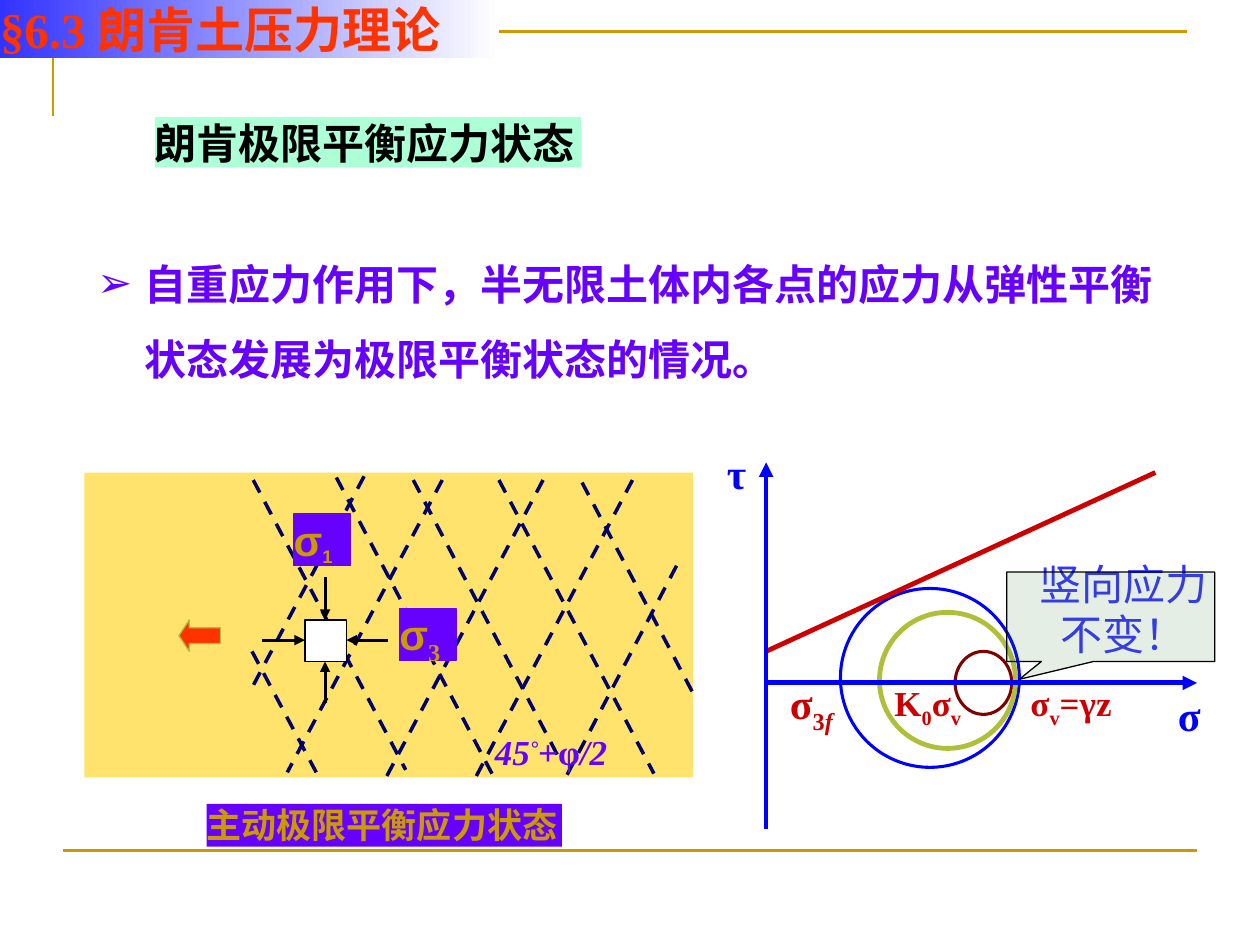
from typing import NamedTuple, Optional

import pptx
import pptx.util
from pptx.dml.color import RGBColor
from pptx.enum.dml import MSO_LINE
from pptx.enum.shapes import MSO_CONNECTOR, MSO_SHAPE
from pptx.enum.text import MSO_ANCHOR, MSO_AUTO_SIZE, PP_ALIGN
from pptx.oxml.ns import qn

PX = 9144  # EMU per px, 100 px to the inch

GOLD = RGBColor(0xCC, 0x99, 0x00)
SOIL = RGBColor(0xFF, 0xE3, 0x6D)
MINT = RGBColor(0xAD, 0xFF, 0xD6)
BLACK = RGBColor(0, 0, 0)
WHITE = RGBColor(0xFF, 0xFF, 0xFF)
VIOLET = RGBColor(0x66, 0x00, 0xFF)
NAVY = RGBColor(0x00, 0x00, 0x66)
ORANGE = RGBColor(0xFF, 0x33, 0x00)
OLIVE = RGBColor(0xAF, 0xBF, 0x39)
MAROON = RGBColor(0x80, 0x00, 0x00)
BLUE = RGBColor(0x00, 0x00, 0xFF)
RED = RGBColor(0xCC, 0x00, 0x00)
INDIGO = RGBColor(0x33, 0x33, 0xFF)
GREEN = RGBColor(0x3B, 0x81, 0x2F)

CJK = "Noto Sans CJK SC"
TIMES = "Times New Roman"
ARIAL = "Arial"
SUBSCRIPT = -25000
SUPERSCRIPT = 30000


class Box(NamedTuple):
    left: int
    top: int
    width: int
    height: int


class Segment(NamedTuple):
    x1: int
    y1: int
    x2: int
    y2: int


class Piece(NamedTuple):
    """A run of text; unset fields follow the format of its box."""
    text: str
    baseline: int = 0
    italic: Optional[bool] = None
    size: Optional[int] = None
    font: Optional[str] = None


class Circle(NamedTuple):
    box: Box
    color: RGBColor
    weight: float


SLIP_LINES = [
    Segment(351, 381, 228, 613), Segment(431, 381, 307, 616),
    Segment(200, 517, 251, 613), Segment(328, 381, 446, 606),
    Segment(267, 379, 391, 615), Segment(396, 381, 519, 614),
    Segment(201, 381, 322, 611), Segment(537, 449, 450, 615),
    Segment(502, 381, 378, 616), Segment(462, 383, 551, 552),
    Segment(289, 378, 201, 544),
]
STRESS_ARROWS = [
    Segment(208, 508, 242, 508), Segment(308, 508, 275, 508),
    Segment(258, 558, 258, 525), Segment(258, 458, 258, 492),
]
INNER_CIRCLE = Circle(Box(758, 517, 45, 50), MAROON, 1.75)
FAILURE_CIRCLE = Circle(Box(667, 467, 142, 142), BLUE, 1.75)
REST_CIRCLE = Circle(Box(698, 486, 108, 108), OLIVE, 2.75)


def emu(values) -> list[int]:
    return [value * PX for value in values]


def draw_shape(slide, kind, box: Box, fill=None, line=None, weight=0.75):
    shape = slide.shapes.add_shape(kind, *emu(box))
    shape.shadow.inherit = False
    if fill is None:
        shape.fill.background()
    else:
        shape.fill.solid()
        shape.fill.fore_color.rgb = fill
    if line is None:
        shape.line.fill.background()
    else:
        shape.line.color.rgb = line
        shape.line.width = pptx.util.Pt(weight)
    return shape


def draw_line(slide, segment: Segment, color, weight, dashed=False, arrow=False):
    line = slide.shapes.add_connector(MSO_CONNECTOR.STRAIGHT, *emu(segment))
    line.line.color.rgb = color
    line.line.width = pptx.util.Pt(weight)
    if dashed:
        line.line.dash_style = MSO_LINE.DASH
    if arrow:
        outline = line.line._get_or_add_ln()
        outline.makeelement(qn("a:tailEnd"), {})
        pptx.oxml.xmlchemy.OxmlElement("a:tailEnd")
        tail = pptx.oxml.xmlchemy.OxmlElement("a:tailEnd")
        tail.set("type", "triangle")
        outline.append(tail)
    line._element.spPr.append(pptx.oxml.xmlchemy.OxmlElement("a:effectLst"))


def write(shape, *paragraphs, size, color, font=TIMES, bold=True, italic=False,
          align=PP_ALIGN.LEFT, anchor=MSO_ANCHOR.TOP, spacing=1.0, wrap=True,
          inset=True, bullet=None):
    """Fill a shape; each paragraph is a string or a list of Pieces."""
    frame = shape.text_frame
    frame.auto_size = MSO_AUTO_SIZE.SHAPE_TO_FIT_TEXT
    frame.word_wrap = wrap
    frame.vertical_anchor = anchor
    frame.margin_left = frame.margin_right = 10 * PX if inset else 0
    frame.margin_top = frame.margin_bottom = 5 * PX if inset else 0
    for index, content in enumerate(paragraphs):
        paragraph = frame.add_paragraph() if index else frame.paragraphs[0]
        if bullet:
            properties = paragraph._p.get_or_add_pPr()
            properties.set("marL", str(38 * PX))
            properties.set("indent", str(-38 * PX))
            mark = pptx.oxml.xmlchemy.OxmlElement("a:buChar")
            mark.set("char", bullet)
            properties.append(mark)
        paragraph.alignment = align
        paragraph.line_spacing = spacing
        paragraph.space_before = pptx.util.Pt(0)
        for piece in [Piece(content)] if isinstance(content, str) else content:
            run = paragraph.add_run()
            run.text = piece.text
            run.font.size = pptx.util.Pt(piece.size or size)
            run.font.bold = bold
            run.font.italic = italic if piece.italic is None else piece.italic
            run.font.color.rgb = color
            run.font.name = piece.font or font
            properties = run._r.get_or_add_rPr()
            if piece.baseline:
                properties.set("baseline", str(piece.baseline))
            east_asian = pptx.oxml.xmlchemy.OxmlElement("a:ea")
            east_asian.set("typeface", CJK)
            properties.append(east_asian)


def draw_text(slide, box: Box, *paragraphs, **text_format):
    write(slide.shapes.add_textbox(*emu(box)), *paragraphs, **text_format)


def draw_label(slide, box: Box, *paragraphs, fill, line=None, **text_format):
    shape = draw_shape(slide, MSO_SHAPE.RECTANGLE, box, fill, line)
    write(shape, *paragraphs, inset=False, **text_format)


def place(placeholder, box: Box):
    """Move a placeholder and bring it to the front."""
    placeholder.left, placeholder.top, placeholder.width, placeholder.height = emu(box)
    placeholder._element.getparent().append(placeholder._element)


def draw_circle(slide, circle: Circle):
    draw_shape(slide, MSO_SHAPE.OVAL, circle.box, line=circle.color, weight=circle.weight)


def draw_frame(slide):
    builder = slide.shapes.build_freeform(42, 92, scale=PX)
    builder.add_line_segments([(42, 25), (942, 25)], close=False)
    corner = builder.convert_to_shape()
    corner.shadow.inherit = False
    corner.fill.background()
    corner.line.color.rgb = GOLD
    corner.line.width = pptx.util.Pt(1.5)
    draw_line(slide, Segment(50, 675, 950, 675), GOLD, 1.5)


def draw_soil(slide):
    for box in (Box(67, 375, 133, 242), Box(200, 375, 350, 242)):
        draw_shape(slide, MSO_SHAPE.RECTANGLE, box, SOIL)
    for segment in SLIP_LINES:
        draw_line(slide, segment, NAVY, 2, dashed=True)
    arrow = draw_shape(slide, MSO_SHAPE.LEFT_ARROW, Box(142, 492, 33, 25), ORANGE, OLIVE)
    arrow.adjustments[1] = 0.33


def draw_mohr_circles(slide):
    draw_circle(slide, INNER_CIRCLE)
    draw_circle(slide, FAILURE_CIRCLE)
    draw_line(slide, Segment(608, 517, 917, 375), RED, 2.75)
    draw_circle(slide, REST_CIRCLE)
    draw_text(slide, Box(617, 550, 59, 28),
              [Piece("σ"), Piece("3", SUBSCRIPT), Piece("f", SUBSCRIPT, italic=True)],
              size=24, color=RED, spacing=0.45)
    draw_text(slide, Box(808, 550, 100, 25),
              [Piece("σ"), Piece("v", SUBSCRIPT), Piece("=γz")],
              size=20, color=RED, spacing=0.45)
    for axis in (Segment(608, 658, 608, 367), Segment(608, 542, 950, 542)):
        draw_line(slide, axis, BLUE, 2.75, arrow=True)
    draw_text(slide, Box(567, 350, 35, 50), "τ", size=24, color=BLUE)
    draw_text(slide, Box(925, 542, 40, 50), "σ", size=24, color=BLUE, wrap=False)
    draw_text(slide, Box(700, 550, 100, 25),
              [Piece("K"), Piece("0", SUBSCRIPT), Piece("σ"), Piece("v", SUBSCRIPT)],
              size=20, color=RED, spacing=0.45)


def draw_stress_element(slide):
    draw_shape(slide, MSO_SHAPE.RECTANGLE, Box(242, 492, 33, 33), WHITE, BLACK)
    for segment in STRESS_ARROWS:
        draw_line(slide, segment, BLACK, 1.75, arrow=True)
    for box, index in ((Box(233, 408, 45, 41), Piece("1", SUBSCRIPT, size=18)),
                       (Box(317, 483, 45, 41), Piece("3", SUBSCRIPT, font=TIMES))):
        draw_label(slide, box, [Piece("σ"), index], fill=VIOLET, line=VIOLET,
                   size=24, color=GOLD, font=ARIAL)
    draw_text(slide, Box(383, 575, 111, 44),
              [Piece("45"), Piece("°", SUPERSCRIPT), Piece("+φ", italic=False), Piece("/2")],
              size=20, color=VIOLET, italic=True, wrap=False)


def draw_callout(slide):
    draw_text(slide, Box(815, 438, 153, 90), "竖向应力", "不变！", size=24, color=INDIGO,
              bold=False, align=PP_ALIGN.CENTER, wrap=False)
    callout = draw_shape(slide, MSO_SHAPE.RECTANGULAR_CALLOUT, Box(799, 454, 165, 71),
                         GREEN, BLACK)
    callout.adjustments[0] = -0.44
    callout.adjustments[1] = 0.7
    alpha = pptx.oxml.xmlchemy.OxmlElement("a:alpha")
    alpha.set("val", "13000")
    callout._element.spPr.find(qn("a:solidFill"))[0].append(alpha)


def draw_title(title):
    place(title, Box(0, -1, 396, 47))
    title.fill.gradient()
    title.fill.gradient_angle = 0
    for stop, color in zip(title.fill.gradient_stops, (INDIGO, WHITE)):
        stop.color.rgb = color
    write(title, "§6.3 朗肯土压力理论", size=28, color=ORANGE,
          anchor=MSO_ANCHOR.BOTTOM, inset=False)


def main():
    presentation = pptx.Presentation()
    presentation.slide_width, presentation.slide_height = emu((1000, 750))
    slide = presentation.slides.add_slide(presentation.slide_layouts[1])
    title, body = slide.placeholders
    draw_frame(slide)
    draw_label(slide, Box(123, 93, 338, 40), "朗肯极限平衡应力状态", fill=MINT,
               size=24, color=BLACK, font=CJK, wrap=False)
    place(body, Box(67, 180, 883, 131))
    write(body, "自重应力作用下，半无限土体内各点的应力从弹性平衡状态发展为极限平衡状态的情况。",
          size=24, color=VIOLET, font=CJK, spacing=1.5, bullet="➢")
    draw_soil(slide)
    draw_mohr_circles(slide)
    draw_label(slide, Box(164, 638, 282, 34), "主动极限平衡应力状态", fill=VIOLET,
               size=20, color=GOLD, font=CJK, wrap=False)
    draw_stress_element(slide)
    draw_callout(slide)
    draw_title(title)
    presentation.save("out.pptx")


if __name__ == "__main__":
    main()
